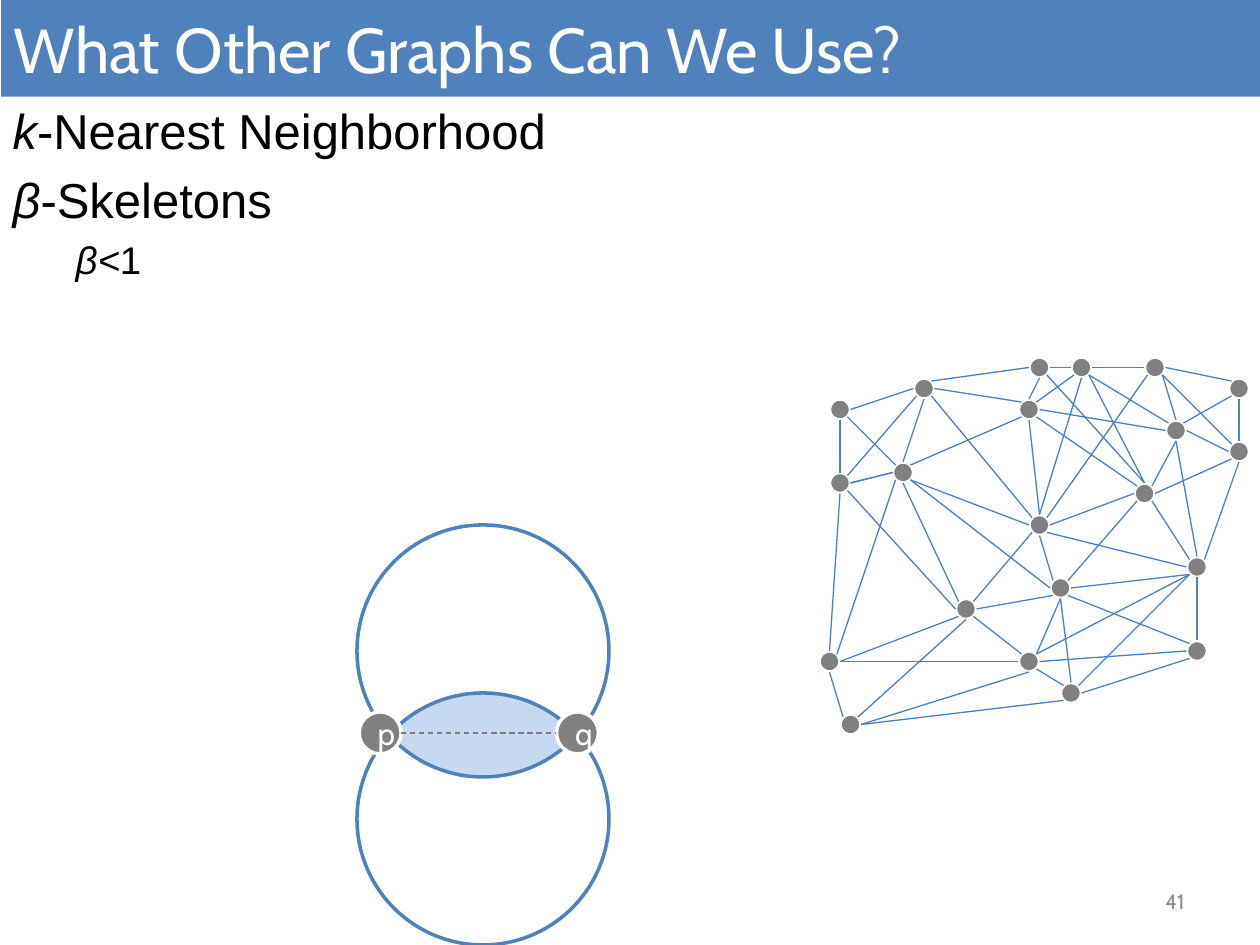
from dataclasses import dataclass
from math import sqrt

from lxml.etree import SubElement
from pptx import Presentation
from pptx.dml.color import RGBColor
from pptx.enum.dml import MSO_LINE
from pptx.enum.shapes import MSO_CONNECTOR, MSO_SHAPE
from pptx.enum.text import MSO_ANCHOR, MSO_AUTO_SIZE, PP_ALIGN
from pptx.oxml.ns import qn
from pptx.util import Pt

PX = 7620  # EMU per pixel, 120 pixels to the inch


@dataclass(frozen=True)
class Theme:
    blue: RGBColor = RGBColor(0x4F, 0x81, 0xBD)
    skeleton: RGBColor = RGBColor(0x4B, 0x7E, 0xBC)
    lens: RGBColor = RGBColor(0xC6, 0xD9, 0xF1)
    gray: RGBColor = RGBColor(0x80, 0x80, 0x80)
    muted: RGBColor = RGBColor(0x8C, 0x8C, 0x8C)
    white: RGBColor = RGBColor(0xFF, 0xFF, 0xFF)
    black: RGBColor = RGBColor(0, 0, 0)
    heading: str = "Cabin"
    body: str = "Arial"
    title_size: float = 36.1
    item_size: int = 28
    subitem_size: int = 22
    label_size: int = 18
    number_size: int = 12
    outline: int = 2
    hairline: float = 0.75


theme = Theme()


def write(para, text, size, color, font=theme.heading, italic=False, align=None):
    """Append one formatted run to a paragraph."""
    span = para.add_run()
    span.text = text
    span.font.size = Pt(size)
    span.font.name = font
    span.font.italic = italic
    span.font.color.rgb = color
    if align is not None:
        para.alignment = align


def draw_line(start, end, color, dash=None):
    line = page.shapes.add_connector(
        MSO_CONNECTOR.STRAIGHT, *(round(value * PX) for value in (*start, *end)))
    line.line.color.rgb = color
    line.line.width = Pt(theme.hairline)
    if dash is not None:
        line.line.dash_style = dash
    SubElement(line._element.spPr, qn("a:effectLst"))


deck = Presentation()
deck.slide_width, deck.slide_height = 1200 * PX, 900 * PX
page = deck.slides.add_slide(deck.slide_layouts[1])
title, body = page.placeholders

# Title bar
title.left, title.top, title.width, title.height = 1 * PX, 0, 1200 * PX, 92 * PX
title.fill.solid()
title.fill.fore_color.rgb = theme.blue
title.text_frame.auto_size = MSO_AUTO_SIZE.NONE
title.text_frame.vertical_anchor = MSO_ANCHOR.MIDDLE
write(title.text_frame.paragraphs[0], "What Other Graphs Can We Use?",
      theme.title_size, theme.white, align=PP_ALIGN.LEFT)

# List: italic part, upright part, level, type size
body.left, body.top, body.width, body.height = 0, 90 * PX, 1200 * PX, 190 * PX
body.text_frame.auto_size = MSO_AUTO_SIZE.NONE
items = [
    ("k", "-Nearest Neighborhood", 0, theme.item_size),
    ("β", "-Skeletons", 0, theme.item_size),
    ("β<", "1", 1, theme.subitem_size),
]
for index, (symbol, rest, level, size) in enumerate(items):
    para = body.text_frame.paragraphs[0] if index == 0 else body.text_frame.add_paragraph()
    para.level = level
    para.space_before = Pt(0 if index == 0 else size * 0.2)
    properties = para._p.get_or_add_pPr()
    properties.set("marL", str((45 + 60 * level) * PX))
    properties.set("indent", str(-45 * PX))
    SubElement(properties, qn("a:buNone"))
    write(para, symbol, size, theme.black, theme.body, italic=True)
    write(para, rest, size, theme.black, theme.body)

# Shared region of the two circles
lens_points = [
    (364, 695), (380, 690), (414, 671), (442, 662), (470, 661), (503, 667), (533, 684),
    (546, 697), (534, 714), (511, 728), (481, 738), (440, 739), (402, 726),
]
builder = page.shapes.build_freeform(*lens_points[0], scale=PX)
builder.add_line_segments(lens_points[1:], close=True)
lens = builder.convert_to_shape()
lens.shadow.inherit = False
lens.fill.solid()
lens.fill.fore_color.rgb = theme.lens
lens.line.color.rgb = theme.lens
lens.line.width = Pt(theme.outline)

# Graph nodes by centre, then the two circles and their points p and q
NODE_RADIUS = 10
nodes = {
    "a": (1140, 540), "b": (1010, 560), "c": (920, 580), "d": (1020, 660), "e": (1140, 620),
    "f": (800, 390), "g": (880, 370), "h": (990, 350), "i": (1030, 350), "j": (1180, 370),
    "k": (1120, 410), "l": (860, 450), "m": (990, 500), "n": (1090, 470), "o": (980, 390),
    "p": (1100, 350), "q": (980, 630), "r": (800, 460), "s": (790, 630), "t": (810, 690),
    "u": (1180, 430),
}
discs = [(center, NODE_RADIUS, theme.gray, theme.white, "") for center in nodes.values()]
discs += [((460, y), 120, None, theme.blue, "") for y in (780, 620)]
discs += [((x, 698), 20, theme.gray, theme.white, label) for x, label in ((362, "p"), (550, "q"))]
for (x, y), radius, fill, outline, label in discs:
    disc = page.shapes.add_shape(MSO_SHAPE.OVAL, (x - radius) * PX, (y - radius) * PX,
                                 2 * radius * PX, 2 * radius * PX)
    disc.shadow.inherit = False
    if fill is None:
        disc.fill.background()
    else:
        disc.fill.solid()
        disc.fill.fore_color.rgb = fill
    disc.line.color.rgb = outline
    disc.line.width = Pt(theme.outline)
    if label:
        disc.text_frame.vertical_anchor = MSO_ANCHOR.MIDDLE
        write(disc.text_frame.paragraphs[0], label, theme.label_size, theme.white,
              align=PP_ALIGN.CENTER)

# Each edge joins two nodes, each at the compass side where the line meets it
skeleton_edges = """
    l.W-r.E r.NE-g.SW r.SE-c.W s.E-q.W s.NE-l.SW t.NE-c.S t.E-q.S t.E-d.SW g.NE-h.W
    g.SE-m.NW l.NE-o.SW l.SE-b.W h.SE-n.N o.NE-i.SW o.E-k.W q.E-e.W q.NE-a.SW m.N-i.S
    m.NE-p.SW m.SE-a.W b.S-d.N d.NE-a.SW k.S-a.N n.E-u.SW i.SE-n.N i.SE-k.NW p.SE-u.NW
"""
base_edges = """
    f.S-r.N f.E-g.W f.SE-l.NW l.W-r.E r.S-s.N t.NW-s.S c.SW-s.E g.S-l.N g.E-o.NW
    m.W-l.SE l.S-c.NW i.W-h.E h.S-o.N o.S-m.N o.SE-n.NW c.SE-q.NW b.SW-c.E m.SW-c.NE
    q.SE-d.NW b.S-q.NE m.S-b.NW m.E-n.W b.NE-n.SW a.SW-b.E b.SE-e.NW d.E-e.SW a.S-e.N
    n.SE-a.NW u.S-a.NE k.S-n.NE i.E-p.W p.SE-k.N p.E-j.NW k.E-u.W j.SW-k.NE j.S-u.N
"""
for edges, color in ((skeleton_edges, theme.skeleton), (base_edges, theme.blue)):
    for edge in edges.split():
        ends = []
        for anchor in edge.split("-"):
            name, side = anchor.split(".")
            reach = NODE_RADIUS / sqrt(len(side))
            x, y = nodes[name]
            ends.append((x + reach * (("E" in side) - ("W" in side)),
                         y + reach * (("S" in side) - ("N" in side))))
        draw_line(*ends, color)

draw_line((382, 698), (530, 698), theme.gray, dash=MSO_LINE.DASH)

# Slide number
number = page.shapes.add_textbox(860 * PX, 834 * PX, 280 * PX, 48 * PX)
number.text_frame.word_wrap = True
number.text_frame.vertical_anchor = MSO_ANCHOR.MIDDLE
write(number.text_frame.paragraphs[0], "41", theme.number_size, theme.muted,
      align=PP_ALIGN.RIGHT)

deck.save("out.pptx")
